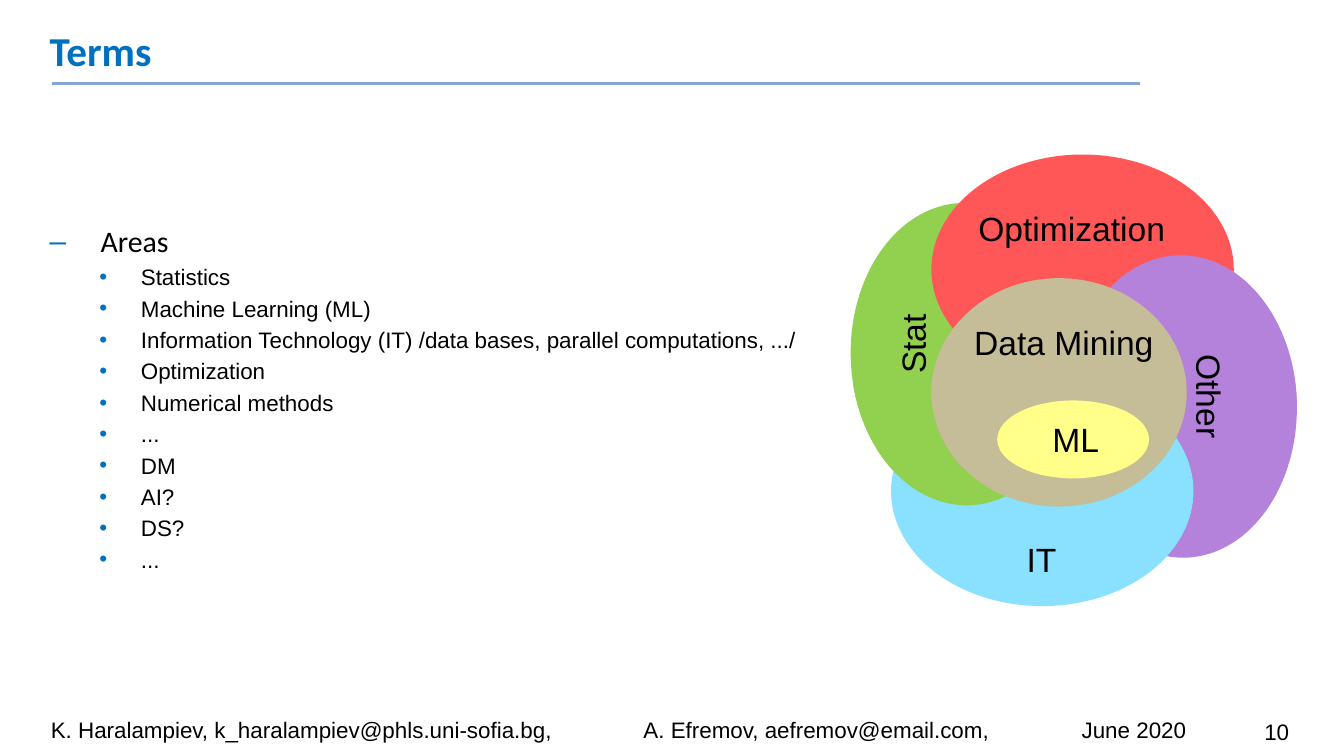
from lxml.etree import SubElement
from pptx import Presentation
from pptx.dml.color import RGBColor
from pptx.enum.shapes import MSO_CONNECTOR, MSO_SHAPE
from pptx.enum.text import MSO_ANCHOR, PP_ALIGN
from pptx.oxml.ns import qn
from pptx.util import Inches, Pt

# Grid: 100 columns by 56.25 rows of square cells
CELL = Inches(0.1)
COLS, ROWS = 100, 56.25
COLORS = {
    "ink": "000000", "blue": "0070C0", "rule": "86A5D5",
    "other": "B482DA", "stat": "92D050", "opt": "FF5757",
    "it": "89E0FF", "mining": "C4BD97", "ml": "FFFF89",
}
AREAS = [
    "Statistics", "Machine Learning (ML)",
    "Information Technology (IT) /data bases, parallel computations, .../",
    "Optimization", "Numerical methods", "...", "DM", "AI?", "DS?", "...",
]


def color(name):
    return RGBColor.from_string(COLORS[name])


def cells(box, part=None):
    """Turn grid cells into lengths; a part is offset from its box."""
    if part:
        box = (box[0] + part[0], box[1] + part[1], part[2], part[3])
    return [round(n * CELL) for n in box]


def style(para, size, face="Arial", ink="ink", bold=False):
    font = para.font
    font.size, font.name, font.bold = Pt(size), face, bold
    font.color.rgb = color(ink)


def label(slide, place, text, size, align=PP_ALIGN.LEFT,
          anchor=MSO_ANCHOR.TOP, wrap=True, turn=0, inset=0.1):
    shape = slide.shapes.add_textbox(*place)
    shape.rotation = turn
    frame = shape.text_frame
    frame.word_wrap, frame.vertical_anchor = wrap, anchor
    frame.margin_left = frame.margin_right = Inches(inset)
    para = frame.paragraphs[0]
    para.text, para.alignment = text, align
    style(para, size)
    return para


def bullet(para, sign, left, hang):
    props = para._p.get_or_add_pPr()
    props.set("marL", str(Inches(left)))
    props.set("indent", str(-Inches(hang)))
    tint = SubElement(props, qn("a:buClr"))
    SubElement(tint, qn("a:srgbClr"), val=COLORS["blue"])
    SubElement(props, qn("a:buFont"), typeface="Arial")
    SubElement(props, qn("a:buChar"), char=sign)


def header(slide, box):
    title = slide.shapes.title
    title.left, title.top, title.width, title.height = cells(box)
    frame = title.text_frame
    frame.vertical_anchor = MSO_ANCHOR.TOP
    para = frame.paragraphs[0]
    para.text, para.alignment = "Terms", PP_ALIGN.LEFT
    style(para, 22, "Calibri", "blue", True)
    # Rule under the title
    x, y, w, _ = cells(box, (1.2, 4.8, 80.9, 0))
    rule = slide.shapes.add_connector(MSO_CONNECTOR.STRAIGHT, x, y, x + w, y)
    rule.line.color.rgb, rule.line.width = color("rule"), Pt(1.5)
    SubElement(rule._element.spPr, qn("a:effectLst"))


def listing(slide, box):
    frame = slide.shapes.add_textbox(*cells(box)).text_frame
    frame.word_wrap, frame.margin_top = True, Inches(0.36)
    head = frame.paragraphs[0]
    head.text = "Areas"
    style(head, 16, "Calibri")
    bullet(head, "‒", 0.38, 0.38)
    for area in AREAS:
        para = frame.add_paragraph()
        para.text, para.level, para.space_before = area, 1, Pt(2.4)
        style(para, 12)
        bullet(para, "•", 0.68, 0.31)


def oval(slide, place, fill, turn=0, cut=None):
    kind = MSO_SHAPE.CHORD if cut else MSO_SHAPE.OVAL
    shape = slide.shapes.add_shape(kind, *place)
    shape.rotation, shape.shadow.inherit = turn, False
    shape.fill.solid()
    shape.fill.fore_color.rgb = color(fill)
    shape.line.fill.background()
    for i, value in enumerate(cut or ()):
        shape.adjustments[i] = value


def venn(slide, box):
    size = (22.5, 17.1)
    sides = {"other": (16.2, 10.2), "stat": (0.1, 6.3)}
    # Four fields
    for name, spot in sides.items():
        oval(slide, cells(box, spot + size), name, 269)
    for name, spot in {"opt": (8.8, 0), "it": (5.8, 16.5)}.items():
        oval(slide, cells(box, spot + size), name)
    # Chords bring part of each side field back to the front
    for name, cut in {"stat": (63.93, 154.04), "other": (165.73, 52.93)}.items():
        oval(slide, cells(box, sides[name] + size), name, 269, cut)
    # Core
    oval(slide, cells(box, (8.8, 9.2, 19, 17)), "mining")
    oval(slide, cells(box, (13.7, 18.3, 11.3, 5.8)), "ml")
    # Names
    mid, left = PP_ALIGN.CENTER, PP_ALIGN.LEFT
    for text, part, align, turn, inset in (
        ("Optimization", (12.3, 3.5, 14.6, 4), left, 0, 0),
        ("Stat", (2.3, 12.1, 10.2, 4), mid, 270, 0.1),
        ("IT", (14.9, 28.1, 4.3, 4), left, 0, 0.1),
        ("Other", (24.4, 16, 10.2, 4), mid, 90, 0.1),
        ("ML", (17.8, 19.2, 3.5, 4), left, 0, 0),
        ("Data Mining", (10.9, 12, 15.5, 4), mid, 0, 0.1),
    ):
        label(slide, cells(box, part), text, 18, align,
              wrap=False, turn=turn, inset=inset)


def footer(slide, box):
    parts = ("K. Haralampiev, k_haralampiev@phls.uni-sofia.bg,",
             "A. Efremov, aefremov@email.com,", "June 2020")
    para = label(slide, cells(box, (0, 0, 87.4, 3)), "\t".join(parts), 12,
                 anchor=MSO_ANCHOR.MIDDLE)
    tabs = SubElement(para._p.get_or_add_pPr(), qn("a:tabLst"))
    for stop in (4.41, 7.67):
        SubElement(tabs, qn("a:tab"), pos=str(Inches(stop)), algn="l")
    # Page number
    label(slide, cells(box, (88.2, 0.1, 5.9, 3)), "10", 12, PP_ALIGN.RIGHT,
          MSO_ANCHOR.MIDDLE)


def main():
    deck = Presentation()
    deck.slide_width, deck.slide_height = cells((COLS, ROWS))
    slide = deck.slides.add_slide(deck.slide_layouts[5])
    header(slide, (2.7, 1.4, 82.2, 5.5))
    listing(slide, (2.7, 13, 64.9, 37.1))
    venn(slide, (60.5, 11.5, 38.7, 33.6))
    footer(slide, (2.8, 52.8, 94.1, 3))
    deck.save("out.pptx")


if __name__ == "__main__":
    main()
